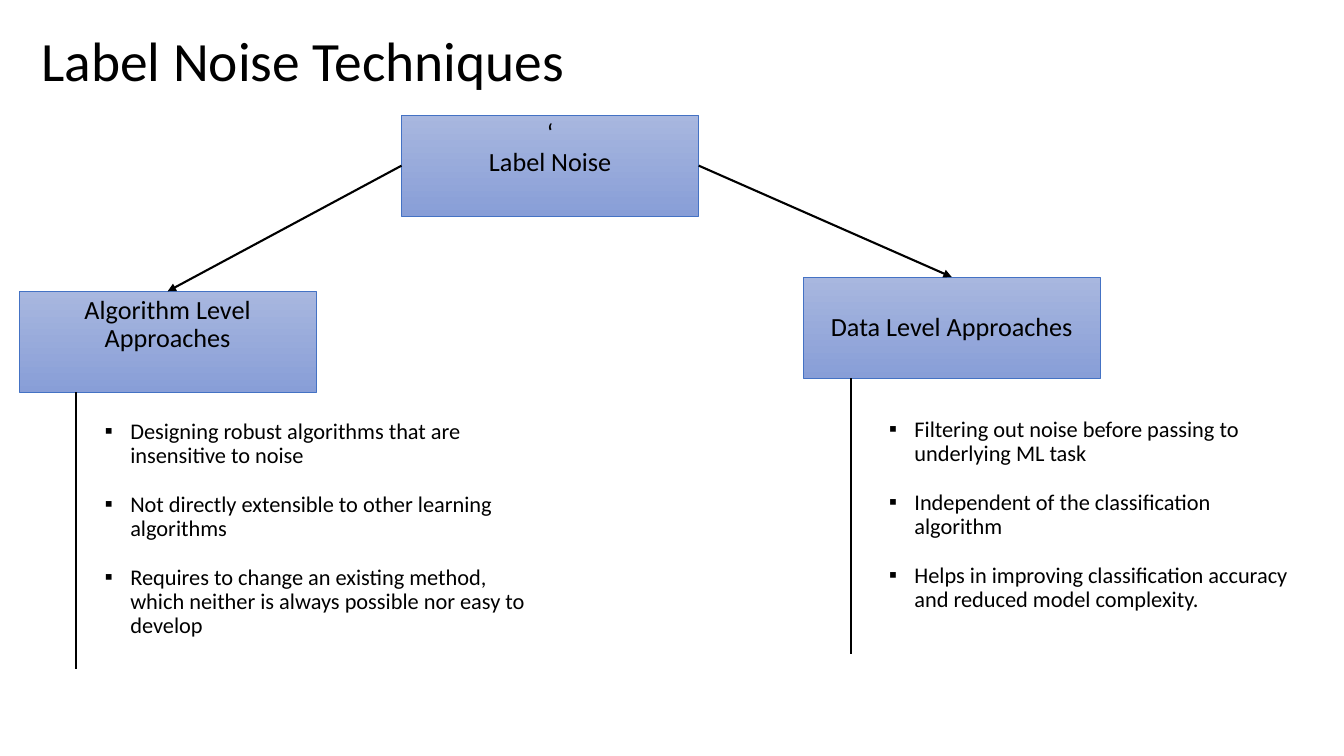
from lxml.etree import SubElement
from pptx import Presentation
from pptx.dml.color import RGBColor
from pptx.enum.shapes import MSO_CONNECTOR, MSO_SHAPE
from pptx.enum.text import MSO_ANCHOR, MSO_AUTO_SIZE, PP_ALIGN
from pptx.oxml.ns import qn
from pptx.util import Cm, Pt

COLORS = {"text": "000000", "box_top": "A8B7DF", "box_bottom": "889ED7", "outline": "4472C4"}
FONT = "Calibri"
BOX_W, BOX_H = Cm(7.49), Cm(2.55)
BAR_H = Cm(6.96)
TOP, LEFT, BOTTOM, RIGHT = range(4)

ALGORITHM_POINTS = [
    "Designing robust algorithms that are insensitive to noise",
    "Not directly extensible to other learning algorithms",
    "Requires to change an existing method, which neither is always possible nor easy to develop",
]
DATA_POINTS = [
    "Filtering out noise before passing to underlying ML task",
    "Independent of the classification algorithm",
    "Helps in improving classification accuracy and reduced model complexity.",
]


def rgb(name):
    return RGBColor.from_string(COLORS[name])


def style_paragraph(p, size, align):
    p.alignment = align
    p.line_spacing = 0.9
    p.space_before = Pt(0)
    for r in p.runs:
        r.font.name = FONT
        r.font.size = Pt(size)
        r.font.color.rgb = rgb("text")


def place(shape, left, top, width, height):
    shape.left, shape.top = Cm(left), Cm(top)
    shape.width, shape.height = Cm(width), Cm(height)


def set_title(s, text):
    title = s.shapes.title
    place(title, 0.79, 0.71, 16.48, 1.8)
    tf = title.text_frame
    tf.text = text
    tf.vertical_anchor = MSO_ANCHOR.MIDDLE
    style_paragraph(tf.paragraphs[0], 39.6, PP_ALIGN.LEFT)


def add_box(s, left, top, text, anchor):
    box = s.shapes.add_shape(MSO_SHAPE.RECTANGLE, Cm(left), Cm(top), BOX_W, BOX_H)
    box.shadow.inherit = False
    box.fill.gradient()
    box.fill.gradient_angle = 270
    for stop, name, position in zip(box.fill.gradient_stops, ("box_top", "box_bottom"), (0, 1)):
        stop.color.rgb = rgb(name)
        stop.position = position
    box.line.color.rgb = rgb("outline")
    box.line.width = Pt(0.5)
    tf = box.text_frame
    tf.word_wrap = True
    tf.margin_left = tf.margin_right = tf.margin_top = tf.margin_bottom = Cm(0.13)
    tf.vertical_anchor = anchor
    tf.text = text
    for p in tf.paragraphs:
        style_paragraph(p, 18.7, PP_ALIGN.CENTER)
    return box


def add_bullet(p):
    pPr = p._p.get_or_add_pPr()
    pPr.set("marL", str(Cm(0.64)))
    pPr.set("indent", str(-Cm(0.64)))
    SubElement(pPr, qn("a:buFont"), typeface=FONT)
    SubElement(pPr, qn("a:buChar"), char="▪")


def fill_list(body, left, top, width, height, points):
    place(body, left, top, width, height)
    tf = body.text_frame
    tf.text = "\n".join(points)
    tf.word_wrap = True
    tf.auto_size = MSO_AUTO_SIZE.SHAPE_TO_FIT_TEXT
    tf.vertical_anchor = MSO_ANCHOR.TOP
    for i, p in enumerate(tf.paragraphs):
        add_bullet(p)
        style_paragraph(p, 16, PP_ALIGN.LEFT)
        if i:
            p.space_before = Pt(17.5)


def add_line(s, x1=0, y1=0, x2=0, y2=0):
    line = s.shapes.add_connector(MSO_CONNECTOR.STRAIGHT, x1, y1, x2, y2)
    line.line.color.rgb = rgb("text")
    line.line.width = Pt(1.5)
    SubElement(line._element.spPr, qn("a:effectLst"))
    return line


def add_bar(s, box, left):
    bottom = box.top + box.height
    add_line(s, Cm(left), bottom, Cm(left), bottom + BAR_H)


def add_arrow(s, source, side, target):
    arrow = add_line(s)
    arrow.begin_connect(source, side)
    arrow.end_connect(target, TOP)
    SubElement(arrow.line._get_or_add_ln(), qn("a:tailEnd"), type="triangle")


def main():
    prs = Presentation()
    prs.slide_width, prs.slide_height = Cm(33.87), Cm(19.05)
    s = prs.slides.add_slide(prs.slide_layouts[3])

    set_title(s, "Label Noise Techniques")
    root = add_box(s, 10.12, 2.9, "‘\nLabel Noise", MSO_ANCHOR.TOP)
    algorithm = add_box(s, 0.48, 7.34, "Algorithm Level Approaches", MSO_ANCHOR.TOP)
    data = add_box(s, 20.24, 6.98, "Data Level Approaches", MSO_ANCHOR.MIDDLE)

    fill_list(s.placeholders[1], 2.39, 10.46, 11.15, 5.79, ALGORITHM_POINTS)
    fill_list(s.placeholders[2], 22.15, 10.41, 10.92, 5.18, DATA_POINTS)

    add_bar(s, algorithm, 1.91)
    add_bar(s, data, 21.44)
    add_arrow(s, root, LEFT, algorithm)
    add_arrow(s, root, RIGHT, data)

    prs.save("out.pptx")


if __name__ == "__main__":
    main()
